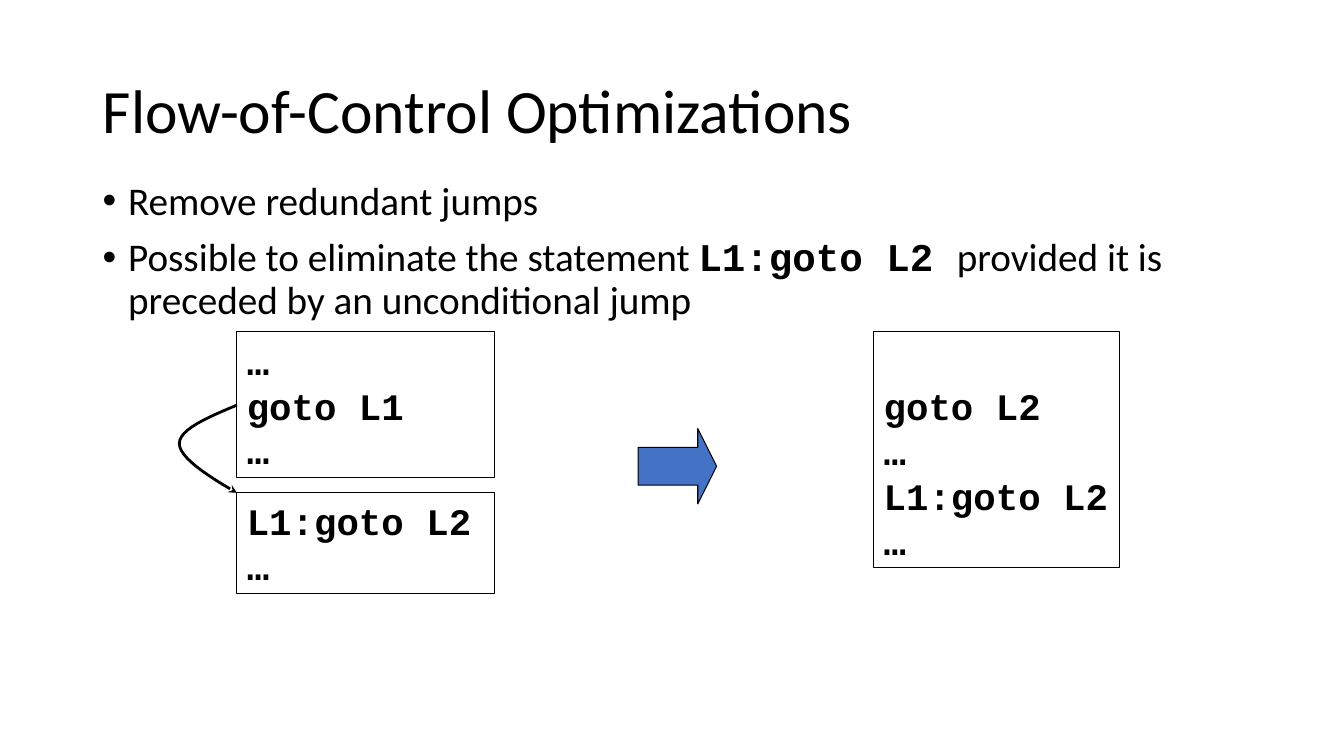
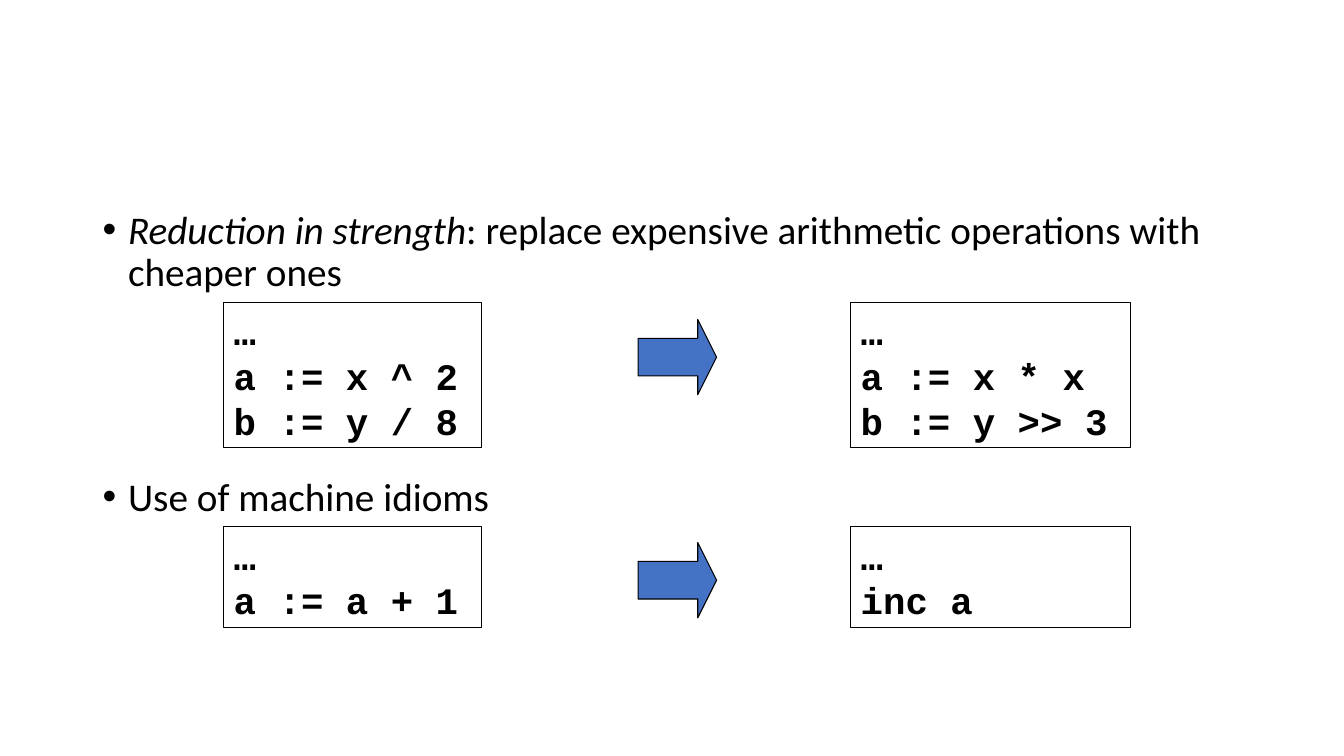
from lxml.etree import SubElement
from pptx import Presentation
from pptx.dml.color import RGBColor
from pptx.enum.shapes import MSO_SHAPE
from pptx.enum.text import MSO_ANCHOR, PP_ALIGN
from pptx.oxml.ns import qn
from pptx.util import Cm, Pt

BLACK = "000000"
BLUE = "4472C4"
TEXT_FONT = "Calibri"
CODE_FONT = "Courier New"
MARGIN = 2.34
CONTENT_WIDTH = 29.21
ARROW_LEFT = 16.08
CURVE_STEPS = 12


def color(value):
    return RGBColor.from_string(value)


def style_font(font, size, name=TEXT_FONT, bold=False):
    font.size = Pt(size)
    font.name = name
    font.bold = bold
    font.color.rgb = color(BLACK)


def style_outline(shape, width=0.75):
    shape.shadow.inherit = False
    shape.line.color.rgb = color(BLACK)
    shape.line.width = Pt(width)


def add_text_frame(slide, top, height):
    box = slide.shapes.add_textbox(Cm(MARGIN), Cm(top), Cm(CONTENT_WIDTH), Cm(height))
    box.text_frame.word_wrap = True
    return box.text_frame


def add_title(slide, text):
    frame = add_text_frame(slide, 1.02, 3.68)
    frame.vertical_anchor = MSO_ANCHOR.MIDDLE
    paragraph = frame.paragraphs[0]
    paragraph.text = text
    paragraph.line_spacing = 0.9
    style_font(paragraph.font, 44)


def add_bullets(slide, top, height, bullets):
    frame = add_text_frame(slide, top, height)
    for index, runs in enumerate(bullets):
        paragraph = frame.add_paragraph() if index else frame.paragraphs[0]
        properties = paragraph._p.get_or_add_pPr()
        properties.set("marL", str(Cm(0.64)))
        properties.set("indent", str(-Cm(0.64)))
        SubElement(properties, qn("a:buFont")).set("typeface", "Arial")
        SubElement(properties, qn("a:buChar")).set("char", "•")
        paragraph.line_spacing = 0.9
        if index:
            paragraph.space_before = Pt(10)
        style_font(paragraph.font, 28)
        for text, kind in runs:
            run = paragraph.add_run()
            run.text = text
            style_font(run.font, 28)
            if kind == "code":
                style_font(run.font, 28, CODE_FONT, True)
            elif kind == "term":
                run.font.italic = True


def add_code_box(slide, left, top, width, lines, rows=None):
    height = 0.25 + 1.14 * (rows or len(lines))
    box = slide.shapes.add_shape(MSO_SHAPE.RECTANGLE, Cm(left), Cm(top), Cm(width), Cm(height))
    box.fill.background()
    style_outline(box)
    frame = box.text_frame
    frame.word_wrap = True
    frame.vertical_anchor = MSO_ANCHOR.BOTTOM
    for index, line in enumerate(lines):
        paragraph = frame.add_paragraph() if index else frame.paragraphs[0]
        paragraph.text = line
        paragraph.alignment = PP_ALIGN.LEFT
        style_font(paragraph.font, 26.7, CODE_FONT, True)


def add_block_arrow(slide, top):
    arrow = slide.shapes.add_shape(
        MSO_SHAPE.RIGHT_ARROW, Cm(ARROW_LEFT), Cm(top), Cm(1.98), Cm(1.9))
    arrow.adjustments[0] = 0.5
    arrow.adjustments[1] = 0.25
    arrow.fill.solid()
    arrow.fill.fore_color.rgb = color(BLUE)
    style_outline(arrow)


def bezier_point(controls, t):
    weights = ((1 - t) ** 3, 3 * t * (1 - t) ** 2, 3 * t ** 2 * (1 - t), t ** 3)
    return tuple(Cm(sum(weight * control[axis] for weight, control in zip(weights, controls)))
                 for axis in (0, 1))


def add_jump_curve(slide, *curves):
    points = [bezier_point(curve, step / CURVE_STEPS)
              for curve in curves for step in range(1, CURVE_STEPS + 1)]
    start_x, start_y = bezier_point(curves[0], 0)
    builder = slide.shapes.build_freeform(start_x, start_y)
    builder.add_line_segments(points, close=False)
    jump = builder.convert_to_shape()
    jump.fill.background()
    style_outline(jump, 2)
    SubElement(jump.line._get_or_add_ln(), qn("a:tailEnd")).set("type", "stealth")


def build_flow_slide(slide):
    add_title(slide, "Flow-of-Control Optimizations")
    add_bullets(slide, 4.45, 3.8, [
        [("Remove redundant jumps", "plain")],
        [("Possible to eliminate the statement ", "plain"),
         ("L1:goto L2 ", "code"),
         ("provided it is preceded by an unconditional jump", "plain")],
    ])
    left = 5.97
    add_code_box(slide, left, 12.42, 6.5, ["L1:goto L2", "…"])
    add_code_box(slide, left, 8.36, 6.5, ["…", "goto L1", "…"])
    add_jump_curve(
        slide,
        [(left, 10.21), (5.23, 10.52), (4.52, 10.82), (4.52, 11.18)],
        [(4.52, 11.18), (4.52, 11.53), (5.23, 11.99), (left, 12.42)])
    add_block_arrow(slide, 10.8)
    add_code_box(slide, 22.02, 8.36, 6.2, ["goto L2", "…", "L1:goto L2", "…"], rows=5)


def add_rewrite(slide, top, arrow_top, before, after):
    add_code_box(slide, 5.64, top, 6.5, before)
    add_block_arrow(slide, arrow_top)
    add_code_box(slide, 21.44, top, 7.06, after)


def build_strength_slide(slide):
    add_bullets(slide, 5.18, 2.4, [
        [("Reduction in strength", "term"),
         (": replace expensive arithmetic operations with cheaper ones", "plain")],
    ])
    add_bullets(slide, 11.91, 1.3, [[("Use of machine idioms", "plain")]])
    add_rewrite(slide, 7.62, 8.05,
                ["…", "a := x ^ 2", "b := y / 8"],
                ["…", "a := x * x", "b := y >> 3"])
    add_rewrite(slide, 13.28, 13.67, ["…", "a := a + 1"], ["…", "inc a"])


def main():
    presentation = Presentation()
    presentation.slide_width = Cm(33.87)
    presentation.slide_height = Cm(19.05)
    blank_layout = presentation.slide_layouts[6]
    for build_slide in (build_flow_slide, build_strength_slide):
        build_slide(presentation.slides.add_slide(blank_layout))
    presentation.save("out.pptx")


if __name__ == "__main__":
    main()
